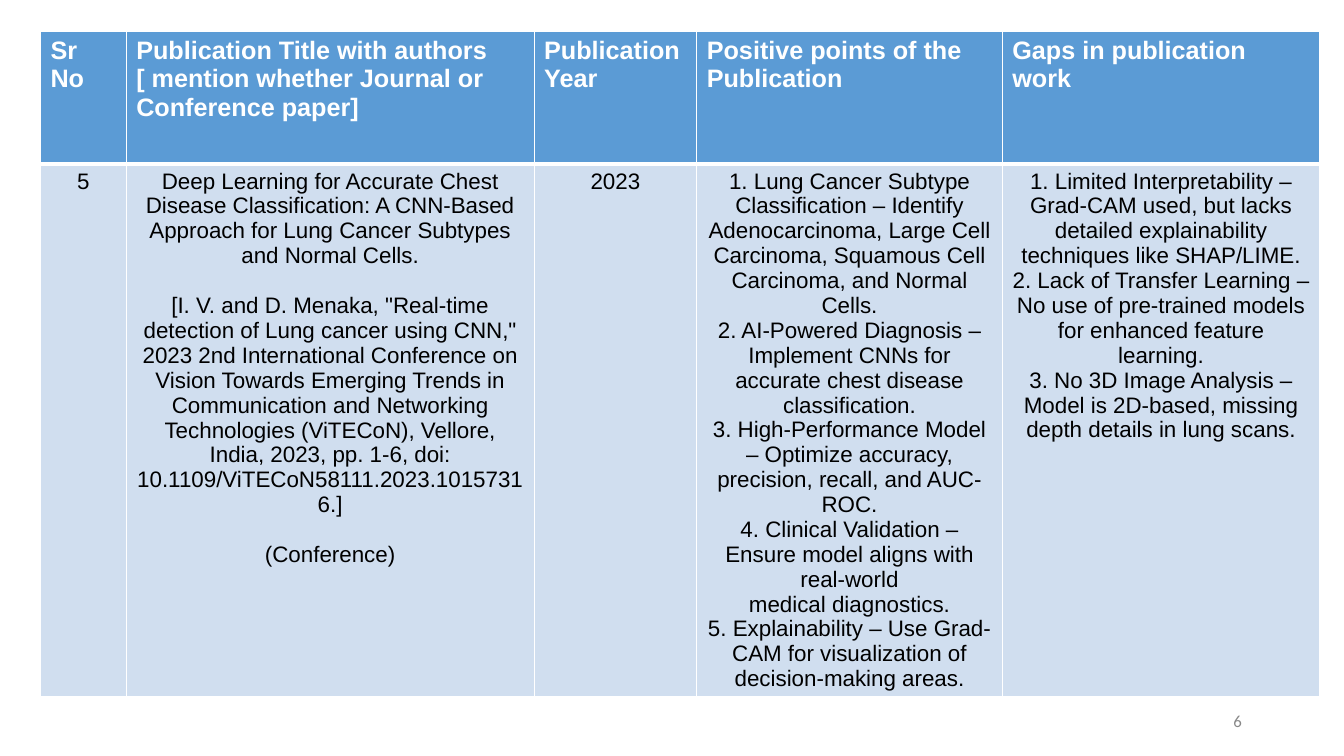
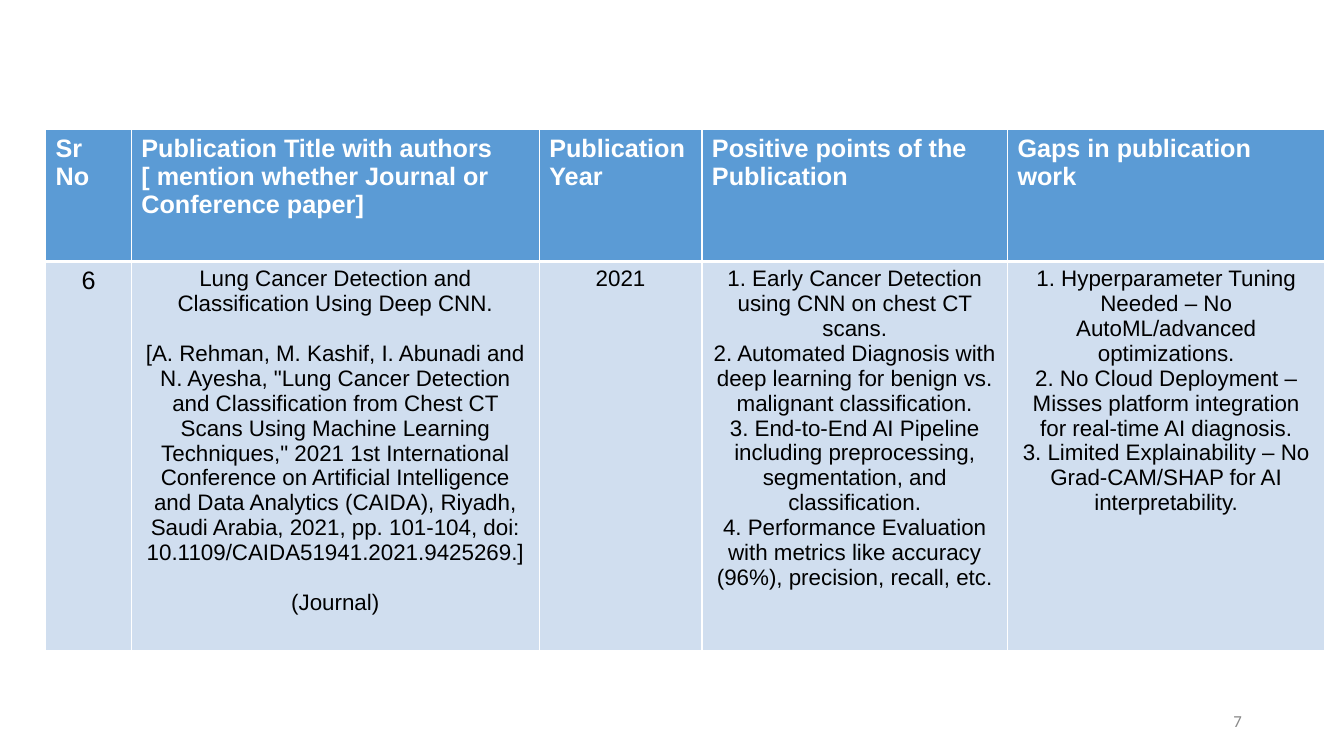
"""Build two literature survey slides, each with one publication table."""
from dataclasses import dataclass

from lxml.etree import SubElement
from pptx import Presentation
from pptx.dml.color import RGBColor
from pptx.enum.text import MSO_ANCHOR, PP_ALIGN
from pptx.oxml.ns import qn
from pptx.util import Cm, Pt

COLOURS = {"header": "5B9BD5", "body": "D0DEEF", "white": "FFFFFF",
           "text": "000000", "number": "888888"}
HEADINGS = [
    "Sr No",
    "Publication Title with authors [ mention whether Journal or Conference paper]",
    "Publication Year",
    "Positive points of the Publication",
    "Gaps in publication work",
]
COLUMN_WIDTHS = [2.16, 10.28, 4.1, 7.7, 8.0]
HEADER_HEIGHT = 3.33
BLOCK_GAP = 17.9
HEADER_BORDERS = {"a:lnL": 1, "a:lnR": 1, "a:lnT": 1, "a:lnB": 3}
BODY_BORDERS = {"a:lnL": 1, "a:lnR": 1, "a:lnT": 3, "a:lnB": 1}


@dataclass(frozen=True)
class TextStyle:
    size: float
    colour: str
    font: str = "Arial"
    bold: bool = False
    align: PP_ALIGN = PP_ALIGN.CENTER
    gap: float = 0


@dataclass(frozen=True)
class Publication:
    page: str
    left: float
    top: float
    row_height: float
    serial: str
    serial_size: float
    reference: list[str]
    year: str
    positives: list[str]
    gaps: list[str]


HEADER_STYLE = TextStyle(18, "white", bold=True, align=PP_ALIGN.LEFT)
BODY_STYLE = TextStyle(16, "text")
REFERENCE_STYLE = TextStyle(16, "text", gap=BLOCK_GAP)
NUMBER_STYLE = TextStyle(12, "number", font="Calibri", align=PP_ALIGN.RIGHT)

PUBLICATIONS = [
    Publication(
        page="6", left=1.02, top=0.8, row_height=3.33, serial="5", serial_size=16,
        reference=[
            "Deep Learning for Accurate Chest Disease Classification: A CNN-Based "
            "Approach for Lung Cancer Subtypes and Normal Cells.",
            "[I. V. and D. Menaka, \"Real-time detection of Lung cancer using CNN,\" "
            "2023 2nd International Conference on Vision Towards Emerging Trends in "
            "Communication and Networking Technologies (ViTECoN), Vellore, India, "
            "2023, pp. 1-6, doi: 10.1109/ViTECoN58111.2023.10157316.]",
            "(Conference)",
        ],
        year="2023",
        positives=[
            "1. Lung Cancer Subtype Classification – Identify Adenocarcinoma, Large "
            "Cell Carcinoma, Squamous Cell Carcinoma, and Normal Cells.",
            "2. AI-Powered Diagnosis – Implement CNNs for accurate chest disease "
            "classification.",
            "3. High-Performance Model – Optimize accuracy, precision, recall, and "
            "AUC-ROC.",
            "4. Clinical Validation – Ensure model aligns with real-world",
            "medical diagnostics.",
            "5. Explainability – Use Grad-CAM for visualization of decision-making "
            "areas.",
        ],
        gaps=[
            "1. Limited Interpretability – Grad-CAM used, but lacks detailed "
            "explainability techniques like SHAP/LIME.",
            "2. Lack of Transfer Learning – No use of pre-trained models for enhanced "
            "feature learning.",
            "3. No 3D Image Analysis – Model is 2D-based, missing depth details in "
            "lung scans.",
        ],
    ),
    Publication(
        page="7", left=1.15, top=3.26, row_height=9.8, serial="6", serial_size=18,
        reference=[
            "Lung Cancer Detection and Classification Using Deep CNN.",
            "[A. Rehman, M. Kashif, I. Abunadi and N. Ayesha, \"Lung Cancer Detection "
            "and Classification from Chest CT Scans Using Machine Learning "
            "Techniques,\" 2021 1st International Conference on Artificial "
            "Intelligence and Data Analytics (CAIDA), Riyadh, Saudi Arabia, 2021, "
            "pp. 101-104, doi: 10.1109/CAIDA51941.2021.9425269.]",
            "(Journal)",
        ],
        year="2021",
        positives=[
            "1. Early Cancer Detection using CNN on chest CT scans.",
            "2. Automated Diagnosis with deep learning for benign vs. malignant "
            "classification.",
            "3. End-to-End AI Pipeline including preprocessing, segmentation, and "
            "classification.",
            "4. Performance Evaluation with metrics like accuracy (96%), precision, "
            "recall, etc.",
        ],
        gaps=[
            "1. Hyperparameter Tuning Needed – No AutoML/advanced optimizations.",
            "2. No Cloud Deployment – Misses platform integration for real-time AI "
            "diagnosis.",
            "3. Limited Explainability – No Grad-CAM/SHAP for AI interpretability.",
        ],
    ),
]


def colour(name: str) -> RGBColor:
    """Return a named palette colour."""
    return RGBColor.from_string(COLOURS[name])


def write(frame, lines: list[str], style: TextStyle) -> None:
    """Fill a text frame with one paragraph per line."""
    for index, line in enumerate(lines):
        para = frame.add_paragraph() if index else frame.paragraphs[0]
        para.alignment = style.align
        if index and style.gap:
            para.space_before = Pt(style.gap)
        span = para.add_run()
        span.text = line
        span.font.name = style.font
        span.font.size = Pt(style.size)
        span.font.bold = style.bold
        span.font.color.rgb = colour(style.colour)


def set_borders(cell, borders: dict[str, float]) -> None:
    """Give a cell white borders of the stated widths."""
    properties = cell._tc.get_or_add_tcPr()
    for tag, width in borders.items():
        line = SubElement(properties, qn(tag), w=str(Pt(width)))
        fill = SubElement(line, qn("a:solidFill"))
        SubElement(fill, qn("a:srgbClr"), val=COLOURS["white"])


def fill_cell(cell, lines: list[str], style: TextStyle, fill: str,
              borders: dict[str, float]) -> None:
    """Border and colour a table cell and write its text."""
    set_borders(cell, borders)
    cell.fill.solid()
    cell.fill.fore_color.rgb = colour(fill)
    write(cell.text_frame, lines, style)


def add_publication_table(page, publication: Publication) -> None:
    """Draw the heading row and the publication row."""
    heights = [HEADER_HEIGHT, publication.row_height]
    table = page.shapes.add_table(
        len(heights), len(HEADINGS), Cm(publication.left), Cm(publication.top),
        Cm(sum(COLUMN_WIDTHS)), Cm(sum(heights))).table
    for row, height in zip(table.rows, heights):
        row.height = Cm(height)
    entries = [
        ([publication.serial], TextStyle(publication.serial_size, "text")),
        (publication.reference, REFERENCE_STYLE),
        ([publication.year], BODY_STYLE),
        (publication.positives, BODY_STYLE),
        (publication.gaps, BODY_STYLE),
    ]
    for index, (heading, width, (lines, style)) in enumerate(
            zip(HEADINGS, COLUMN_WIDTHS, entries)):
        table.columns[index].width = Cm(width)
        fill_cell(table.cell(0, index), [heading], HEADER_STYLE, "header",
                  HEADER_BORDERS)
        fill_cell(table.cell(1, index), lines, style, "body", BODY_BORDERS)


def add_page_number(page, number: str) -> None:
    """Write the page number at the lower right."""
    box = page.shapes.add_textbox(Cm(23.93), Cm(17.65), Cm(7.62), Cm(1.02))
    box.text_frame.word_wrap = True
    box.text_frame.vertical_anchor = MSO_ANCHOR.MIDDLE
    write(box.text_frame, [number], NUMBER_STYLE)


def main() -> None:
    """Build and save the deck."""
    deck = Presentation()
    deck.slide_width, deck.slide_height = Cm(33.87), Cm(19.05)
    for publication in PUBLICATIONS:
        page = deck.slides.add_slide(deck.slide_layouts.get_by_name("Blank"))
        add_publication_table(page, publication)
        add_page_number(page, publication.page)
    deck.save("out.pptx")


if __name__ == "__main__":
    main()
